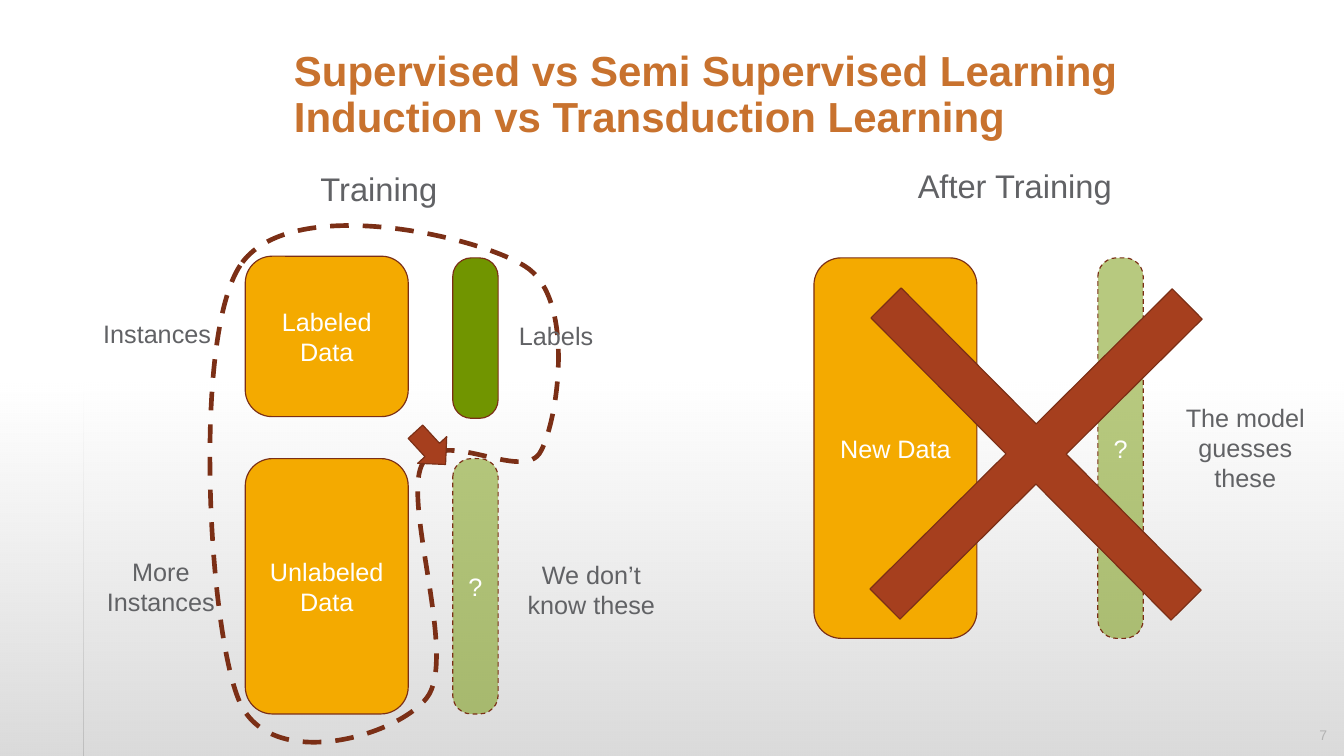
from lxml import etree
from pptx import Presentation
from pptx.dml import color as dml_color
from pptx.enum import dml, shapes, text
from pptx.oxml import ns
from pptx.util import Inches, Pt

FONT = "Arial"
AMBER, GREEN, RUST, OUTLINE = "F4AA00", "719500", "A63F1E", "7B2F16"
GREY, ORANGE, PALE, WHITE, BLACK = "616265", "C8722E", "B3B3B3", "FFFFFF", "000000"
BODY, HEADING = 21.6, 28
LEFT, CENTER, RIGHT = text.PP_ALIGN.LEFT, text.PP_ALIGN.CENTER, text.PP_ALIGN.RIGHT
TOP, MIDDLE, BOTTOM = text.MSO_ANCHOR.TOP, text.MSO_ANCHOR.MIDDLE, text.MSO_ANCHOR.BOTTOM
KIND = shapes.MSO_SHAPE


def rgb(value):
    return dml_color.RGBColor.from_string(value)


class Diagram:
    def __init__(self, slide):
        self.slide = slide

    def set_words(self, frame, words, size, color, align, anchor):
        frame.word_wrap = True
        frame.vertical_anchor = anchor
        paragraph = frame.paragraphs[0]
        paragraph.text = words
        paragraph.alignment = align
        paragraph.font.name = FONT
        paragraph.font.size = Pt(size)
        paragraph.font.color.rgb = rgb(color)
        return paragraph

    def label(self, box, words, size=BODY, color=GREY, align=CENTER, anchor=TOP, insets=None):
        frame = self.slide.shapes.add_textbox(*map(Inches, box)).text_frame
        if insets:
            (frame.margin_left, frame.margin_top,
             frame.margin_right, frame.margin_bottom) = map(Inches, insets)
        else:
            frame.auto_size = text.MSO_AUTO_SIZE.SHAPE_TO_FIT_TEXT
        return self.set_words(frame, words, size, color, align, anchor)

    def set_alpha(self, shape, percents):
        colors = shape._element.spPr.findall(".//" + ns.qn("a:srgbClr"))
        for color, percent in zip(colors, percents):
            etree.SubElement(color, ns.qn("a:alpha")).set("val", str(percent * 1000))

    def outline(self, shape, width=1, dashed=False):
        shape.shadow.inherit = False
        shape.line.color.rgb = rgb(OUTLINE)
        shape.line.width = Pt(width)
        if dashed:
            shape.line.dash_style = dml.MSO_LINE.DASH

    def block(self, kind, box, fill, words="", adjust=None, rotation=0, unknown=False):
        shape = self.slide.shapes.add_shape(kind, *map(Inches, box))
        shape.fill.solid()
        shape.fill.fore_color.rgb = rgb(fill)
        if unknown:
            self.set_alpha(shape, [50])
        self.outline(shape, dashed=unknown)
        shape.rotation = rotation
        if adjust is not None:
            shape.adjustments[0] = adjust
        if words:
            self.set_words(shape.text_frame, words, BODY, WHITE, CENTER, MIDDLE)

    def panel(self, box, shaded):
        shape = self.slide.shapes.add_shape(KIND.RECTANGLE, *map(Inches, box))
        shape.shadow.inherit = False
        shape.line.fill.background()
        if shaded:
            shape.fill.gradient()
            shape.fill.gradient_angle = 270
            for stop, position in zip(shape.fill.gradient_stops, (0, 1)):
                stop.position = position
                stop.color.rgb = rgb(BLACK)
            self.set_alpha(shape, [0, 15])
        else:
            shape.fill.solid()
            shape.fill.fore_color.rgb = rgb(WHITE)

    def loop(self, start, curves):
        builder = self.slide.shapes.build_freeform(*map(Inches, start), scale=1)
        points = [point for curve in curves for point in curve]
        builder.add_line_segments([tuple(map(Inches, p)) for p in points], close=True)
        shape = builder.convert_to_shape()
        shape.fill.background()
        self.outline(shape, 4, dashed=True)
        segments = shape._element.spPr.findall(".//" + ns.qn("a:lnTo"))
        for first in range(0, len(curves) * 3, 3):
            bezier = etree.Element(ns.qn("a:cubicBezTo"))
            segments[first].addprevious(bezier)
            for segment in segments[first:first + 3]:
                bezier.append(segment[0])
                segment.getparent().remove(segment)


def main():
    deck = Presentation()
    deck.slide_width, deck.slide_height = Inches(16), Inches(9)
    diagram = Diagram(deck.slides.add_slide(deck.slide_layouts[6]))

    for box, shaded in [
        ((0, 4.51, 16, 4.5), True),
        ((1, 0, 6, 9), False),
        ((5.5, 0, 10.5, 9), False),
        ((1, 4.5, 15, 4.5), True),
    ]:
        diagram.panel(box, shaded)

    diagram.loop((2.86, 3.16), [
        [(2.29, 4.02), (2.48, 7.49), (2.85, 8.35)],
        [(3.22, 9.2), (4.72, 8.77), (5.08, 8.31)],
        [(5.45, 7.84), (4.8, 6.03), (5.02, 5.54)],
        [(5.25, 5.05), (6.24, 5.77), (6.44, 5.37)],
        [(6.65, 4.98), (6.85, 3.54), (6.25, 3.17)],
        [(5.66, 2.8), (3.43, 2.3), (2.86, 3.16)],
    ])
    diagram.label((15.3, 8.5, 0.5, 0.5), "7", 12, PALE, RIGHT, MIDDLE, (0, 0, 0, 0))
    title = diagram.label(
        (3.5, 0.3, 12, 1.43),
        "Supervised vs Semi Supervised Learning\nInduction vs Transduction Learning",
        36, ORANGE, LEFT, BOTTOM, (0, 0.05, 0.1, 0.05))
    title.font.bold = True
    title.line_spacing = 0.9

    for left, top, height, words in [
        (2.92, 3.05, 1.91, "Labeled Data"),
        (2.92, 5.46, 3.04, "Unlabeled Data"),
        (9.69, 3.07, 4.53, "New Data"),
    ]:
        diagram.block(KIND.ROUNDED_RECTANGLE, (left, top, 1.94, height), AMBER, words)
    for left, top, height, words in [
        (5.39, 3.07, 1.91, ""),
        (5.39, 5.46, 3.04, "?"),
        (13.07, 3.07, 4.53, "?"),
    ]:
        diagram.block(KIND.ROUNDED_RECTANGLE, (left, top, 0.54, height), GREEN, words,
                      adjust=0.41, unknown=bool(words))

    for box, words, size, align in [
        ((3.63, 1.96, 1.76, 0.57), "Training", HEADING, CENTER),
        ((10.57, 1.93, 3.02, 0.57), "After Training", HEADING, CENTER),
        ((1.13, 3.74, 1.51, 0.46), "Instances", BODY, LEFT),
        ((6.08, 3.77, 1.51, 0.46), "Labels", BODY, LEFT),
        ((1.16, 6.57, 1.51, 0.83), "More Instances", BODY, CENTER),
        ((6.08, 6.61, 1.92, 0.83), "We don’t know these", BODY, CENTER),
        ((13.85, 4.74, 1.95, 1.19), "The model guesses these", BODY, CENTER),
    ]:
        diagram.label(box, words, size, align=align)

    diagram.block(KIND.RIGHT_ARROW, (4.86, 5.1, 0.53, 0.47), RUST, rotation=47.4)
    diagram.block(KIND.CROSS, (9.8, 2.87, 5.07, 5.07), RUST, adjust=0.45, rotation=315.2)

    deck.save("out.pptx")


if __name__ == "__main__":
    main()
